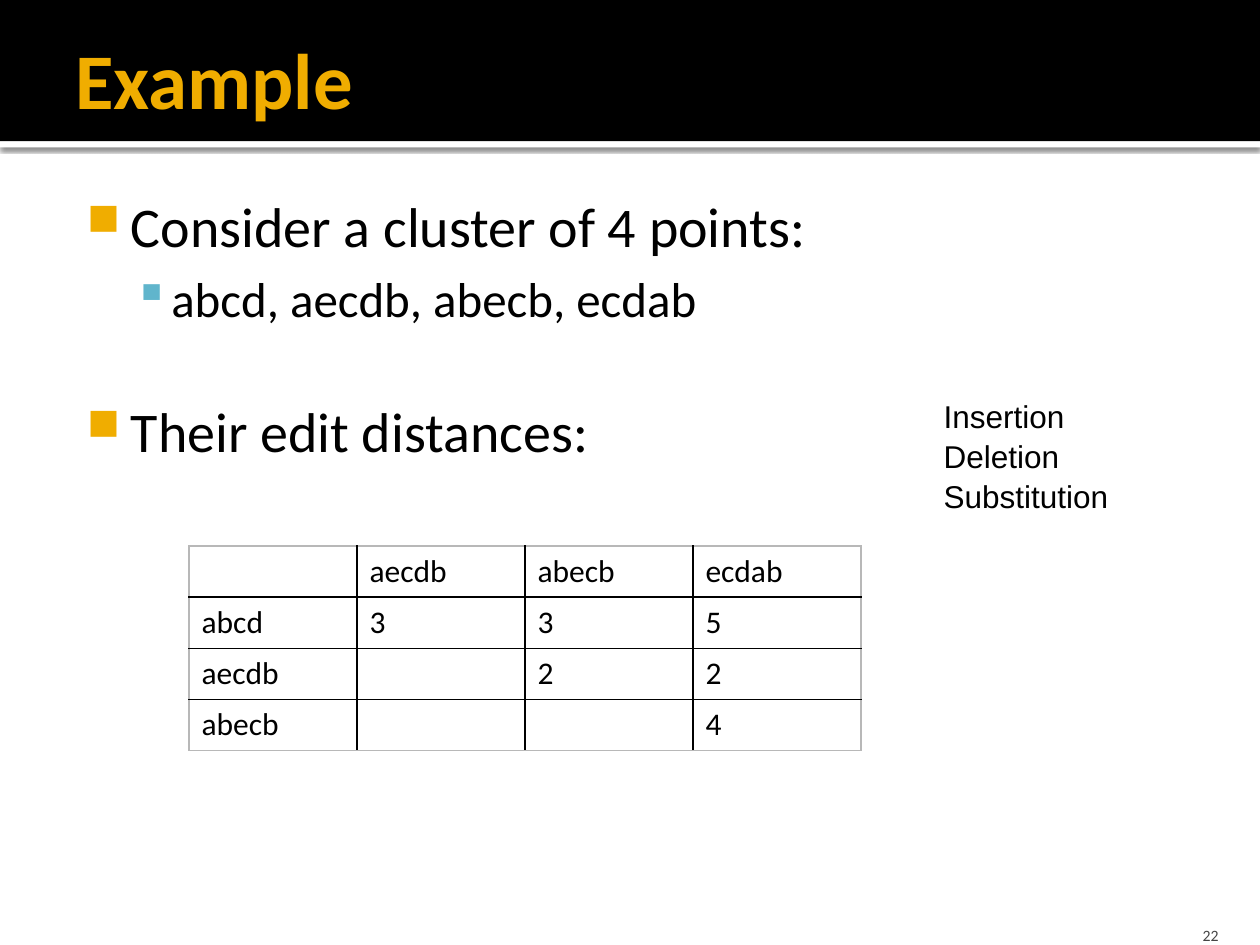
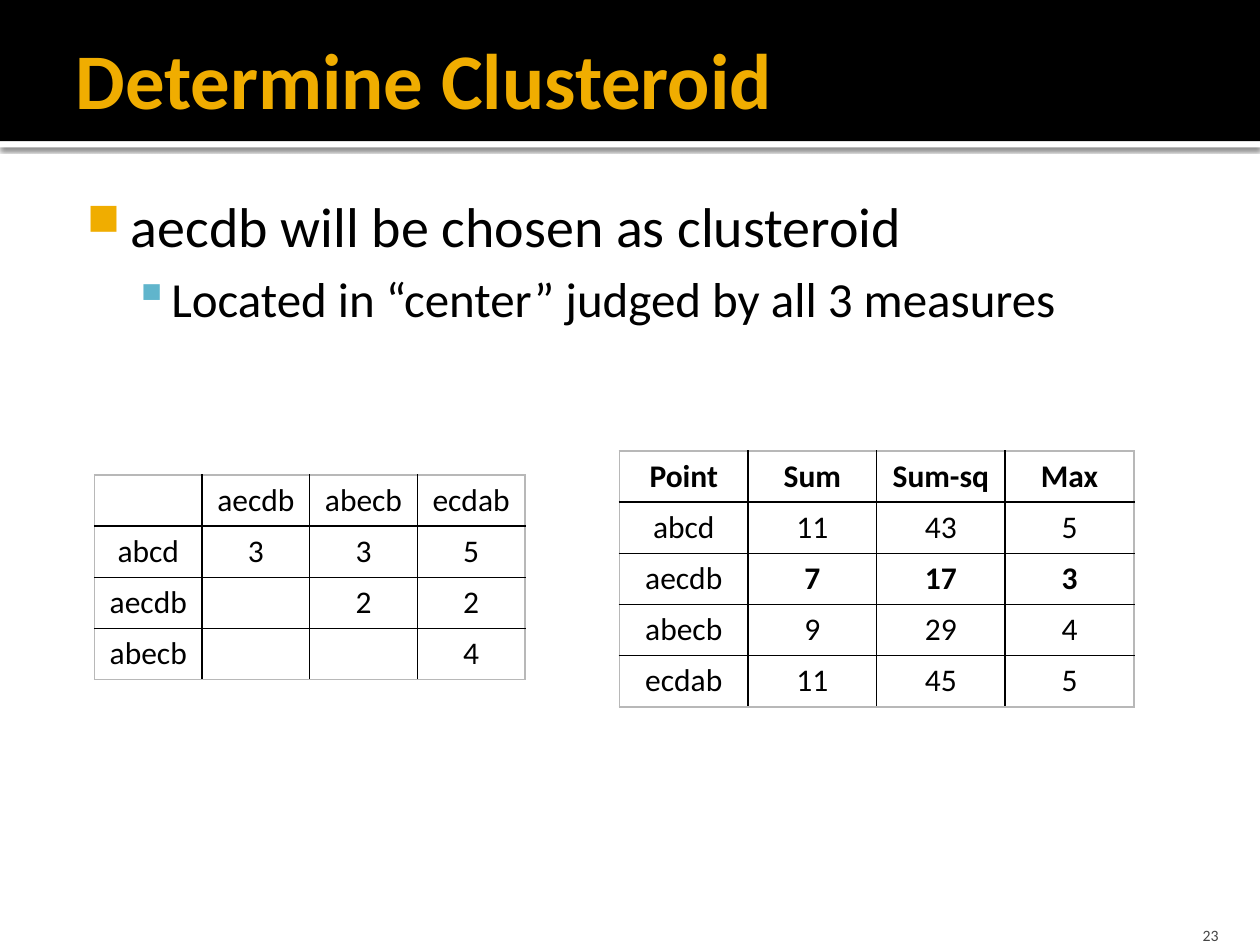
from lxml import etree
from pptx import Presentation
from pptx.dml.color import RGBColor
from pptx.enum import shapes, text
from pptx.oxml import ns
from pptx.util import Pt

COLOURS = {
    "black": "000000",
    "white": "FFFFFF",
    "gold": "F0AD00",
    "blue": "60B5CC",
    "number": "454545",
    "edge": "B8B8B8",
}
BULLETS = [
    dict(size=32, margin=34.56, indent=-25.2, char="■", colour="gold", percent=80),
    dict(size=28, margin=57.6, indent=-21.6, char="▪", colour="blue", percent=100),
]
ROW_HEIGHT = 29.25
DISTANCES = [
    ["", "aecdb", "abecb", "ecdab"],
    ["abcd", "3", "3", "5"],
    ["aecdb", "", "2", "2"],
    ["abecb", "", "", "4"],
]
MEASURES = [
    ["Point", "Sum", "Sum-sq", "Max"],
    ["abcd", "11", "43", "5"],
    ["aecdb", "7", "17", "3"],
    ["abecb", "9", "29", "4"],
    ["ecdab", "11", "45", "5"],
]


def rgb(name):
    return RGBColor.from_string(COLOURS[name])


def add_xml(parent, tag, **attributes):
    values = {key: str(value) for key, value in attributes.items()}
    return etree.SubElement(parent, ns.qn(tag), values)


def add_colour(parent, name):
    return add_xml(parent, "a:srgbClr", val=COLOURS[name])


def write(para, words, size=18, font="Calibri", colour="black", bold=False,
          align=text.PP_ALIGN.LEFT, before=0, spacing=None):
    para.alignment = align
    para.space_before = Pt(before)
    para.line_spacing = spacing
    span = para.add_run()
    span.text = words
    span.font.size = Pt(size)
    span.font.name = font
    span.font.bold = bold
    span.font.color.rgb = rgb(colour)


def set_frame(frame, insets, anchor=text.MSO_ANCHOR.TOP, wrap=True):
    frame.margin_left, frame.margin_top, frame.margin_right, frame.margin_bottom = map(Pt, insets)
    frame.vertical_anchor = anchor
    frame.word_wrap = wrap
    frame.auto_size = text.MSO_AUTO_SIZE.NONE


class Builder:
    def __init__(self):
        self.deck = Presentation()
        self.deck.slide_width, self.deck.slide_height = Pt(720), Pt(540)
        self.page = None

    def start_page(self, title, number):
        self.page = self.deck.slides.add_slide(self.deck.slide_layouts[5])
        heading = self.page.shapes.title
        stripe = self.band(80.64, 3.6, "white")
        self.add_shadow(stripe)
        for band in (stripe, self.band(0, 80.64, "black")):
            heading.element.addprevious(band.element)
        heading.left, heading.top, heading.width, heading.height = map(Pt, (36, 5.76, 648, 77.76))
        set_frame(heading.text_frame, (7.2, 3.6, 3.6, 3.6), text.MSO_ANCHOR.MIDDLE)
        write(heading.text_frame.paragraphs[0], title, size=45, colour="gold", bold=True)
        self.textbox((645.84, 518.4, 57.6, 21.6), [str(number)], (7.2, 3.6, 7.2, 0),
                     anchor=text.MSO_ANCHOR.BOTTOM, size=9, colour="number",
                     align=text.PP_ALIGN.RIGHT)

    def band(self, top, height, colour):
        box = self.page.shapes.add_shape(
            shapes.MSO_SHAPE.RECTANGLE, 0, Pt(top), self.deck.slide_width, Pt(height))
        box.shadow.inherit = False
        box.fill.solid()
        box.fill.fore_color.rgb = rgb(colour)
        box.line.fill.background()
        return box

    def add_shadow(self, box):
        effects = box.element.spPr.find(ns.qn("a:effectLst"))
        shadow = add_xml(effects, "a:outerShdw", blurRad=Pt(2.5), dist=Pt(0.8),
                         dir=90 * 60000, rotWithShape=0)
        add_xml(add_colour(shadow, "black"), "a:alpha", val=60000)

    def textbox(self, area, lines, insets, anchor=text.MSO_ANCHOR.TOP, wrap=True, **style):
        box = self.page.shapes.add_textbox(*map(Pt, area))
        frame = box.text_frame
        set_frame(frame, insets, anchor, wrap)
        for index, line in enumerate(lines):
            para = frame.add_paragraph() if index else frame.paragraphs[0]
            write(para, line, **style)

    def bullets(self, items):
        box = self.page.shapes.add_textbox(Pt(36), Pt(102.24), Pt(648), Pt(414))
        frame = box.text_frame
        set_frame(frame, (4.32, 7.2, 7.2, 3.6))
        for index, (level, words, before) in enumerate(items):
            para = frame.add_paragraph() if index else frame.paragraphs[0]
            look = BULLETS[level]
            para.level = level
            props = para._p.get_or_add_pPr()
            props.set("marL", str(Pt(look["margin"])))
            props.set("indent", str(Pt(look["indent"])))
            add_colour(add_xml(props, "a:buClr"), look["colour"])
            add_xml(props, "a:buSzPct", val=look["percent"] * 1000)
            add_xml(props, "a:buChar", char=look["char"])
            write(para, words, size=look["size"], before=before)

    def table(self, left, top, column_width, rows, align=text.PP_ALIGN.CENTER, bold=()):
        row_count, column_count = len(rows), len(rows[0])
        grid = self.page.shapes.add_table(
            row_count, column_count, Pt(left), Pt(top),
            Pt(column_width * column_count), Pt(ROW_HEIGHT * row_count)).table
        grid.first_row = grid.horz_banding = False
        for column in grid.columns:
            column.width = Pt(column_width)
        for r, row in enumerate(rows):
            grid.rows[r].height = Pt(ROW_HEIGHT)
            for c, words in enumerate(row):
                cell = grid.cell(r, c)
                outer = {"a:lnL": c == 0, "a:lnR": c == column_count - 1,
                         "a:lnT": r == 0, "a:lnB": r == row_count - 1}
                self.borders(cell, outer)
                cell.fill.background()
                if words:
                    write(cell.text_frame.paragraphs[0], words, align=align,
                          bold=(r, c) in bold)

    def borders(self, cell, outer):
        props = cell._tc.get_or_add_tcPr()
        for side, is_outer in outer.items():
            line = add_xml(props, side, w=Pt(1))
            add_colour(add_xml(line, "a:solidFill"), "edge" if is_outer else "black")


def main():
    builder = Builder()

    builder.start_page("Example", 22)
    builder.bullets([
        (0, "Consider a cluster of 4 points:", 0),
        (1, "abcd, aecdb, abecb, ecdab", 5.6),
        (0, "Their edit distances:", 39.5),
    ])
    builder.table(108, 312, 96, DISTANCES, align=text.PP_ALIGN.LEFT)
    builder.textbox((532.08, 222.48, 109.44, 94.32),
                    ["Insertion", "Deletion", "Substitution"], (7.2, 3.6, 7.2, 3.6),
                    wrap=False, font="Arial", spacing=1.05)

    builder.start_page("Determine Clusteroid", 23)
    builder.bullets([
        (0, "aecdb will be chosen as clusteroid", 0),
        (1, "Located in “center” judged by all 3 measures", 5.6),
    ])
    builder.table(54, 271.44, 61.5, DISTANCES)
    header = {(0, column) for column in range(4)}
    clusteroid = {(2, column) for column in range(1, 4)}
    builder.table(354, 257.76, 73.5, MEASURES, bold=header | clusteroid)

    builder.deck.save("out.pptx")


if __name__ == "__main__":
    main()
